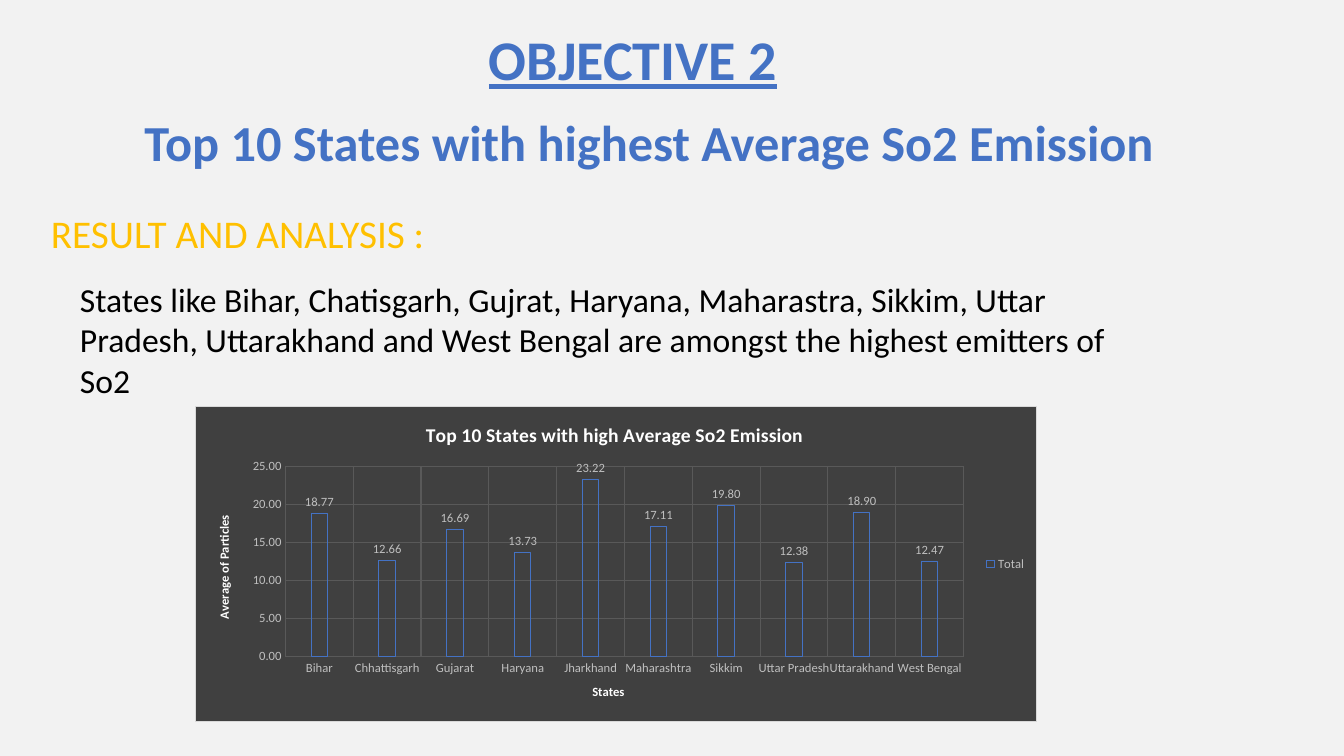
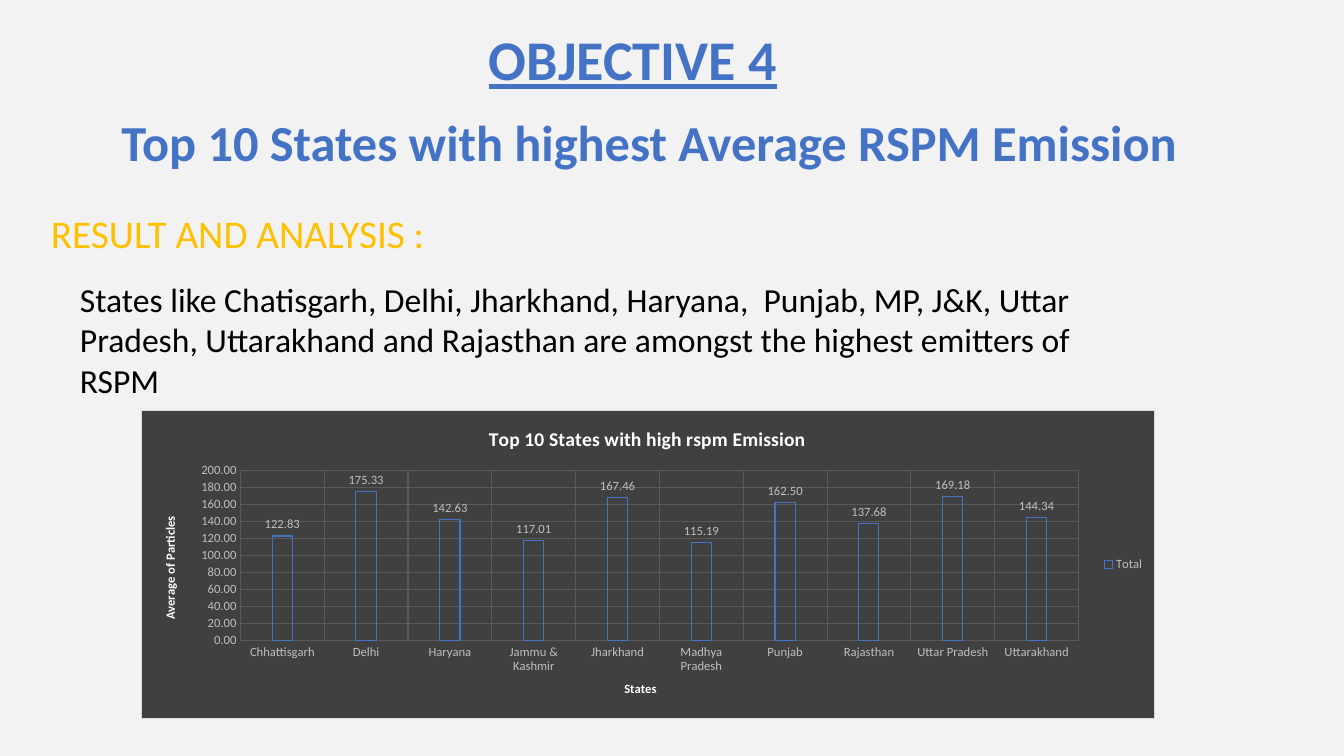
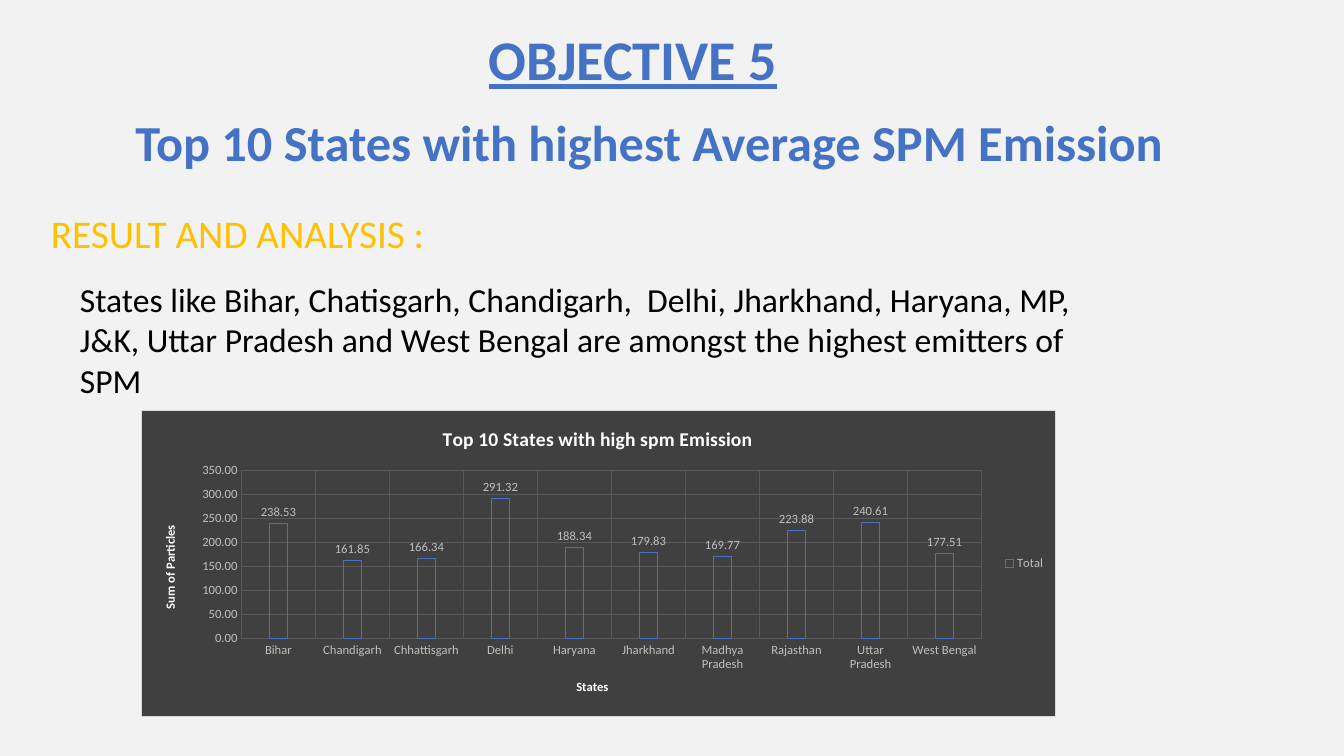
from lxml import etree
from pptx import Presentation
from pptx.chart.data import CategoryChartData
from pptx.dml.color import RGBColor
from pptx.enum.chart import XL_CHART_TYPE, XL_LABEL_POSITION, XL_LEGEND_POSITION, XL_TICK_MARK
from pptx.enum.text import MSO_ANCHOR, MSO_AUTO_SIZE, PP_ALIGN
from pptx.oxml import parse_xml
from pptx.oxml.ns import nsdecls, qn
from pptx.util import Emu, Pt

COLUMNS = XL_CHART_TYPE.COLUMN_CLUSTERED
OUTSIDE_END = XL_LABEL_POSITION.OUTSIDE_END
LEGEND_RIGHT = XL_LEGEND_POSITION.RIGHT
NO_TICK = XL_TICK_MARK.NONE
MIDDLE = MSO_ANCHOR.MIDDLE
NO_FIT = MSO_AUTO_SIZE.NONE
CENTER = PP_ALIGN.CENTER

BLUE = RGBColor(0x44, 0x72, 0xC4)
GOLD = RGBColor(0xFF, 0xC0, 0x00)
BLACK = RGBColor(0x00, 0x00, 0x00)
WHITE = RGBColor(0xFF, 0xFF, 0xFF)
PAPER = RGBColor(0xF2, 0xF2, 0xF2)
CHARCOAL = RGBColor(0x40, 0x40, 0x40)
GRID = RGBColor(0x59, 0x59, 0x59)
SILVER = RGBColor(0xBF, 0xBF, 0xBF)
BORDER = RGBColor(0xD9, 0xD9, 0xD9)

FONT = "Calibri"
HEADLINE = {"size": Pt(36), "bold": True, "color": BLUE}
OBJECTIVE = {"size": Pt(40), "bold": True, "underline": True, "color": BLUE}
SECTION = {"size": Pt(28), "color": GOLD}
BODY = {"size": Pt(24), "color": BLACK}
CHART_TITLE = {"size": Pt(14), "bold": True, "color": WHITE}
AXIS_TITLE = {"size": Pt(9), "bold": True, "color": WHITE}
CHART_LABEL = {"size": Pt(9), "color": SILVER}
HAIRLINE = Pt(0.75)
NUMBER = "0.00"


def px(n):
    return Emu(round(n * 12192000 / 1344))


def style(font, fmt):
    font.name = FONT
    for key, value in fmt.items():
        if key == "color":
            font.color.rgb = value
        else:
            setattr(font, key, value)


def write(tf, text, fmt):
    """Put one styled run in a text frame and return its paragraph."""
    p = tf.paragraphs[0]
    r = p.add_run()
    r.text = text
    style(r.font, fmt)
    return p


def place(parent, index, frame, **lengths):
    """Give a chart part a manual layout, in px of the slide."""
    left, top, width, height = frame
    shares = {"x": (lengths["x"] - left) / width, "y": (lengths["y"] - top) / height}
    if "w" in lengths:
        shares.update(w=lengths["w"] / width, h=lengths["h"] / height)
    for old in parent.findall(qn("c:layout")):
        parent.remove(old)
    layout = parse_xml(f"<c:layout {nsdecls('c')}/>")
    manual = etree.SubElement(layout, qn("c:manualLayout"))
    if "w" in shares:
        etree.SubElement(manual, qn("c:layoutTarget")).set("val", "inner")
    for key in ("x", "y"):
        etree.SubElement(manual, qn(f"c:{key}Mode")).set("val", "edge")
    for key, share in shares.items():
        etree.SubElement(manual, qn(f"c:{key}")).set("val", f"{share:.4f}")
    parent.insert(index, layout)


class Deck:
    def __init__(self):
        self.prs = Presentation()
        self.prs.slide_width, self.prs.slide_height = px(1344), px(756)
        fill = self.prs.slide_master.background.fill
        fill.solid()
        fill.fore_color.rgb = PAPER
        self.slide = None

    def new_slide(self, title):
        self.slide = self.prs.slides.add_slide(self.prs.slide_layouts[5])
        sp = self.slide.shapes.title
        sp.left, sp.top, sp.width, sp.height = map(px, (70, 99, 1159, 93))
        tf = sp.text_frame
        tf.auto_size, tf.vertical_anchor = NO_FIT, MIDDLE
        p = write(tf, title, HEADLINE)
        p.alignment, p.line_spacing = CENTER, 0.9

    def text(self, box, text, fmt, wrap=True):
        tf = self.slide.shapes.add_textbox(*map(px, box)).text_frame
        tf.word_wrap = wrap
        write(tf, text, fmt)

    def chart(self, frame, plot_box, title, value_title, scale, data, title_x, cat_x, val_y):
        """Draw a column chart; the last three place its titles."""
        left, top, width, height = frame
        chart_data = CategoryChartData(number_format=NUMBER)
        chart_data.categories = list(data)
        chart_data.add_series("Total", list(data.values()))
        chart = self.slide.shapes.add_chart(COLUMNS, *map(px, frame), chart_data).chart
        style(chart.font, {"size": Pt(10), "color": BLACK})
        self.chart_area(chart)

        write(chart.chart_title.text_frame, title, CHART_TITLE)
        place(chart.chart_title.element, 1, frame, x=title_x, y=top + 11)
        self.axis(chart.category_axis, "States", frame, cat_x, top + height - 40)
        self.axis(chart.value_axis, value_title, frame, left + 18, val_y)
        axis = chart.value_axis
        axis.minimum_scale = 0
        axis.maximum_scale, axis.major_unit = scale
        axis.tick_labels.number_format = NUMBER
        axis.tick_labels.number_format_is_linked = False

        x, y, w, h = plot_box
        place(chart.element.xpath("c:chart/c:plotArea")[0], 0, frame, x=x, y=y, w=w, h=h)
        self.columns(chart.plots[0])
        chart.has_legend = True
        chart.legend.position = LEGEND_RIGHT
        chart.legend.include_in_layout = False
        style(chart.legend.font, CHART_LABEL)

    def chart_area(self, chart):
        area = parse_xml(
            f"<c:spPr {nsdecls('c', 'a')}>"
            f'<a:solidFill><a:srgbClr val="{CHARCOAL}"/></a:solidFill>'
            f'<a:ln w="{HAIRLINE}"><a:solidFill><a:srgbClr val="{BORDER}"/></a:solidFill></a:ln>'
            "</c:spPr>")
        chart.element.find(qn("c:chart")).addnext(area)

    def axis(self, axis, title, frame, x, y):
        axis.major_tick_mark = axis.minor_tick_mark = NO_TICK
        axis.format.line.fill.background()
        axis.has_major_gridlines = True
        line = axis.major_gridlines.format.line
        line.color.rgb, line.width = GRID, HAIRLINE
        style(axis.tick_labels.font, CHART_LABEL)
        write(axis.axis_title.text_frame, title, AXIS_TITLE)
        place(axis.axis_title.element, 1, frame, x=x, y=y)

    def columns(self, plot):
        plot.gap_width, plot.overlap = 315, -40
        plot.vary_by_categories = False
        fmt = plot.series[0].format
        fmt.fill.background()
        fmt.line.color.rgb, fmt.line.width = BLUE, HAIRLINE
        plot.has_data_labels = True
        labels = plot.data_labels
        labels.show_value, labels.position = True, OUTSIDE_END
        labels.number_format, labels.number_format_is_linked = NUMBER, False
        style(labels.font, CHART_LABEL)


SLIDES = [
    {
        "number": 2,
        "pollutant": "So2",
        "finding": "States like Bihar, Chatisgarh, Gujrat, Haryana, Maharastra, Sikkim, Uttar Pradesh, "
                   "Uttarakhand and West Bengal are amongst the highest emitters of So2",
        "chart": {
            "frame": (195, 406, 842, 316),
            "plot_box": (285, 466, 679, 191),
            "title": "Top 10 States with high Average So2 Emission",
            "value_title": "Average of Particles",
            "scale": (25, 5),
            "title_x": 422, "cat_x": 590, "val_y": 513,
            "data": {"Bihar": 18.77, "Chhattisgarh": 12.66, "Gujarat": 16.69, "Haryana": 13.73,
                     "Jharkhand": 23.22, "Maharashtra": 17.11, "Sikkim": 19.8,
                     "Uttar Pradesh": 12.38, "Uttarakhand": 18.9, "West Bengal": 12.47},
        },
    },
    {
        "number": 4,
        "pollutant": "RSPM",
        "finding": "States like Chatisgarh, Delhi, Jharkhand, Haryana,  Punjab, MP, J&K, Uttar Pradesh, "
                   "Uttarakhand and Rajasthan are amongst the highest emitters of RSPM",
        "chart": {
            "frame": (141, 410, 1014, 309),
            "plot_box": (240, 470, 839, 171),
            "title": "Top 10 States with high rspm Emission",
            "value_title": "Average of Particles",
            "scale": (200, 20),
            "title_x": 485, "cat_x": 622, "val_y": 514,
            "data": {"Chhattisgarh": 122.83, "Delhi": 175.33, "Haryana": 142.63,
                     "Jammu & Kashmir": 117.01, "Jharkhand": 167.46, "Madhya Pradesh": 115.19,
                     "Punjab": 162.5, "Rajasthan": 137.68, "Uttar Pradesh": 169.18,
                     "Uttarakhand": 144.34},
        },
    },
    {
        "number": 5,
        "pollutant": "SPM",
        "finding": "States like Bihar, Chatisgarh, Chandigarh,  Delhi, Jharkhand, Haryana, MP, J&K, "
                   "Uttar Pradesh and West Bengal are amongst the highest emitters of SPM",
        "chart": {
            "frame": (141, 410, 915, 307),
            "plot_box": (241, 470, 741, 169),
            "title": "Top 10 States with high spm Emission",
            "value_title": "Sum of Particles",
            "scale": (350, 50),
            "title_x": 439, "cat_x": 574, "val_y": 523,
            "data": {"Bihar": 238.53, "Chandigarh": 161.85, "Chhattisgarh": 166.34, "Delhi": 291.32,
                     "Haryana": 188.34, "Jharkhand": 179.83, "Madhya Pradesh": 169.77,
                     "Rajasthan": 223.88, "Uttar Pradesh": 240.61, "West Bengal": 177.51},
        },
    },
]


def main():
    deck = Deck()
    for page in SLIDES:
        deck.new_slide(f"Top 10 States with highest Average {page['pollutant']} Emission")
        deck.text((479, 20, 311, 78), f"OBJECTIVE {page['number']}", OBJECTIVE, wrap=False)
        deck.text((41, 204, 400, 57), "RESULT AND ANALYSIS :", SECTION)
        deck.text((70, 274, 1059, 132), page["finding"], BODY)
        deck.chart(**page["chart"])
    deck.prs.save("out.pptx")


if __name__ == "__main__":
    main()
